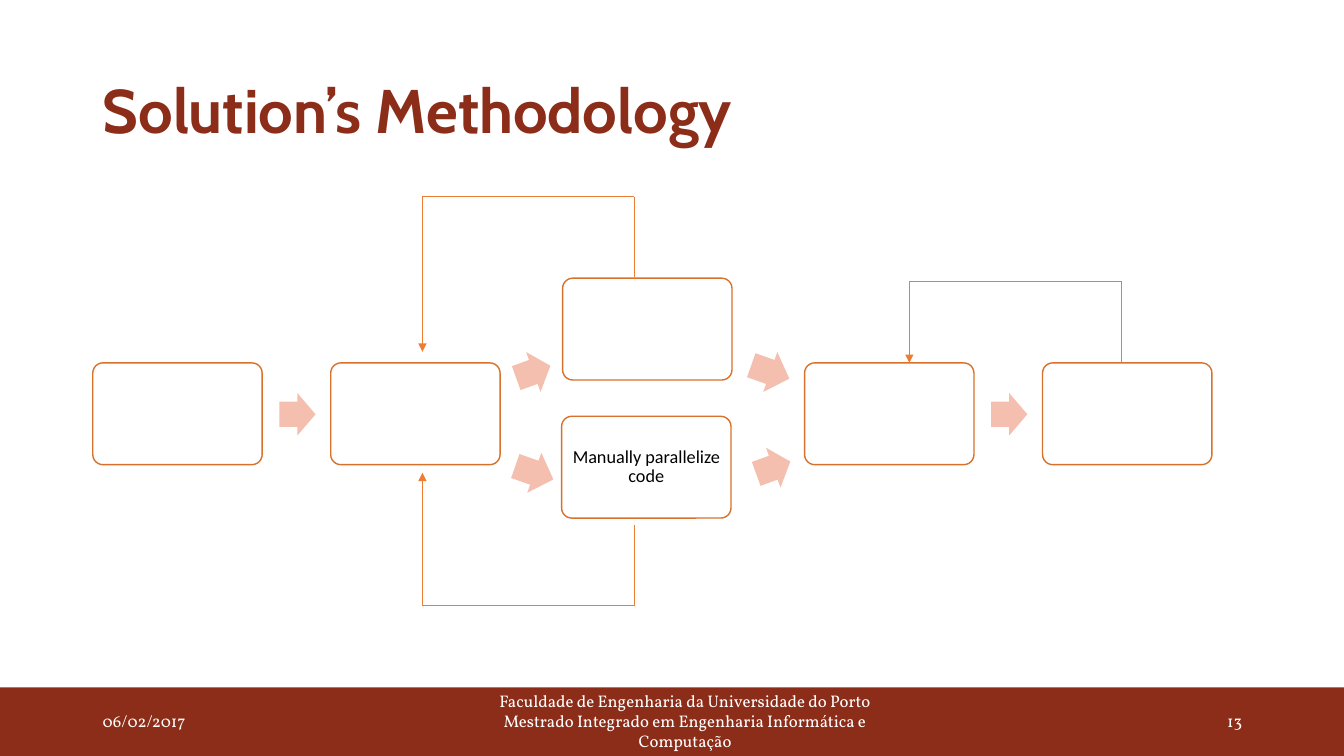
from lxml import etree
from pptx import Presentation
from pptx.dml.color import RGBColor
from pptx.enum.shapes import MSO_CONNECTOR, MSO_SHAPE
from pptx.enum.text import MSO_ANCHOR, PP_ALIGN
from pptx.oxml.ns import qn
from pptx.util import Pt

PX = 9144  # EMU per px, 100 px to the inch
RECT, ROUND, ARROW = MSO_SHAPE.RECTANGLE, MSO_SHAPE.ROUNDED_RECTANGLE, MSO_SHAPE.RIGHT_ARROW
STRAIGHT, MIDDLE = MSO_CONNECTOR.STRAIGHT, MSO_ANCHOR.MIDDLE
LEFT, CENTER, RIGHT = PP_ALIGN.LEFT, PP_ALIGN.CENTER, PP_ALIGN.RIGHT
BRICK, WHITE, PEACH, RUST, ORANGE = "8C2D19", "FFFFFF", "F4BFAE", "D7712C", "ED7D31"
STEP_W, STEP_H = 168, 101


def color(code):
    return RGBColor.from_string(code)


def emu(*sizes):
    return [size * PX for size in sizes]


def write(shape, text, size, font, ink, align=LEFT, bold=False, space=1.0):
    frame = shape.text_frame
    frame.text = text
    frame.word_wrap = True
    frame.vertical_anchor = MIDDLE
    for para in frame.paragraphs:
        para.alignment = align
        para.line_spacing = space
        for run in para.runs:
            run.font.size = Pt(size)
            run.font.name = font
            run.font.bold = bold
            run.font.color.rgb = color(ink)


def draw(slide, kind, box, fill, line=None):
    shape = slide.shapes.add_shape(kind, *emu(*box))
    shape.shadow.inherit = False
    shape.fill.solid()
    shape.fill.fore_color.rgb = color(fill)
    if line:
        shape.line.color.rgb = color(line)
        shape.line.width = Pt(1)
    else:
        shape.line.fill.background()
    return shape


def title(slide, box):
    area = slide.shapes.add_textbox(*emu(*box))
    write(area, "Solution’s Methodology", 44, "Cabin", BRICK, bold=True, space=0.9)


def footer(slide, box):
    left, top, _, _ = box
    draw(slide, RECT, box, BRICK)
    school = ("Faculdade de Engenharia da Universidade do Porto\n"
              "Mestrado Integrado em Engenharia Informática e Computação")
    for x, wide, text, align in ((92, 300, "06/02/2017", LEFT),
                                 (442, 475, school, CENTER),
                                 (942, 300, "13", RIGHT)):
        area = slide.shapes.add_textbox(*emu(left + x, top + 13, wide, 40))
        write(area, text, 12, "Vollkorn", WHITE, align)


def step(slide, x, y, text=""):
    shape = draw(slide, ROUND, (x, y, STEP_W, STEP_H), WHITE, RUST)
    shape.adjustments[0] = 0.1
    if text:
        frame = shape.text_frame
        frame.margin_left = frame.margin_right = 8 * PX
        frame.margin_top = frame.margin_bottom = 8 * PX
        write(shape, text, 13, "Calibri", "000000", CENTER, space=0.9)


def arrow(slide, x, y, wide=36, turn=0):
    shape = draw(slide, ARROW, (x, y, wide, 42), PEACH)
    shape.adjustments[0] = 0.6
    shape.adjustments[1] = 0.5
    shape.rotation = turn


def loop(slide, start, bend, end):
    """Three lines from start by way of height bend to an arrowhead at end."""
    points = [start, (start[0], bend), (end[0], bend), end]
    for a, b in zip(points, points[1:]):
        line = slide.shapes.add_connector(STRAIGHT, *emu(*a, *b))
        line.line.color.rgb = color(ORANGE)
        line.line.width = Pt(0.5)
        etree.SubElement(line._element.spPr, qn("a:effectLst"))
    tip = etree.SubElement(line.line._get_or_add_ln(), qn("a:tailEnd"))
    tip.set("type", "triangle")


def flow(slide, box):
    left, top, wide, high = box
    gap = (wide - STEP_W) / 4
    cols = [round(left + gap * i) for i in range(5)]
    row, upper, lower = top + 165, top + 81, top + 218
    for i in (0, 1, 3, 4):
        step(slide, cols[i], row)
    step(slide, cols[2] - 5, upper)
    step(slide, cols[2] - 6, lower, "Manually parallelize code")

    for i in (0, 3):
        arrow(slide, cols[i] + 185, row + 30)
    up, down = 340.1, 19.4
    arrow(slide, cols[1] + 183, row - 12, turn=up)
    arrow(slide, cols[1] + 182, row + 88, 40, down)
    arrow(slide, cols[3] - 54, row - 12, 40, down)
    arrow(slide, cols[3] - 49, row + 83, turn=up)

    back, fork = cols[1] + 91, cols[2] + 66
    loop(slide, (fork, upper - 1), top, (back, row - 11))
    loop(slide, (fork, lower + 108), top + high, (back, row + 109))
    loop(slide, (cols[4] + 78, row - 1), row - 81, (cols[3] + 104, row))


def main():
    deck = Presentation()
    deck.slide_width, deck.slide_height = emu(1333, 750)
    slide = deck.slides.add_slide(deck.slide_layouts[6])
    footer(slide, (0, 682, 1333, 68))
    title(slide, (92, 40, 1150, 145))
    flow(slide, (92, 195, 1110, 406))
    deck.save("out.pptx")


if __name__ == "__main__":
    main()
